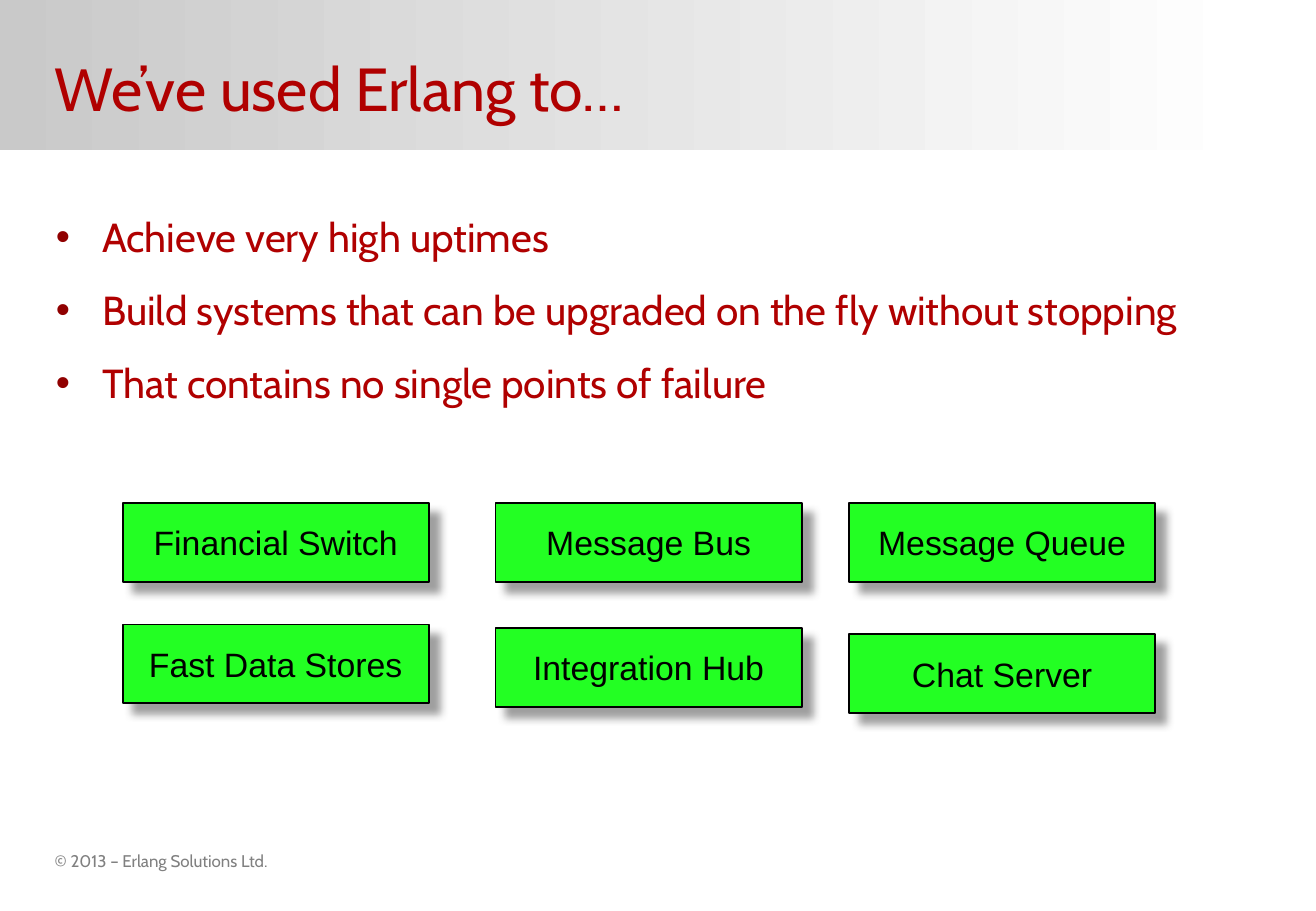
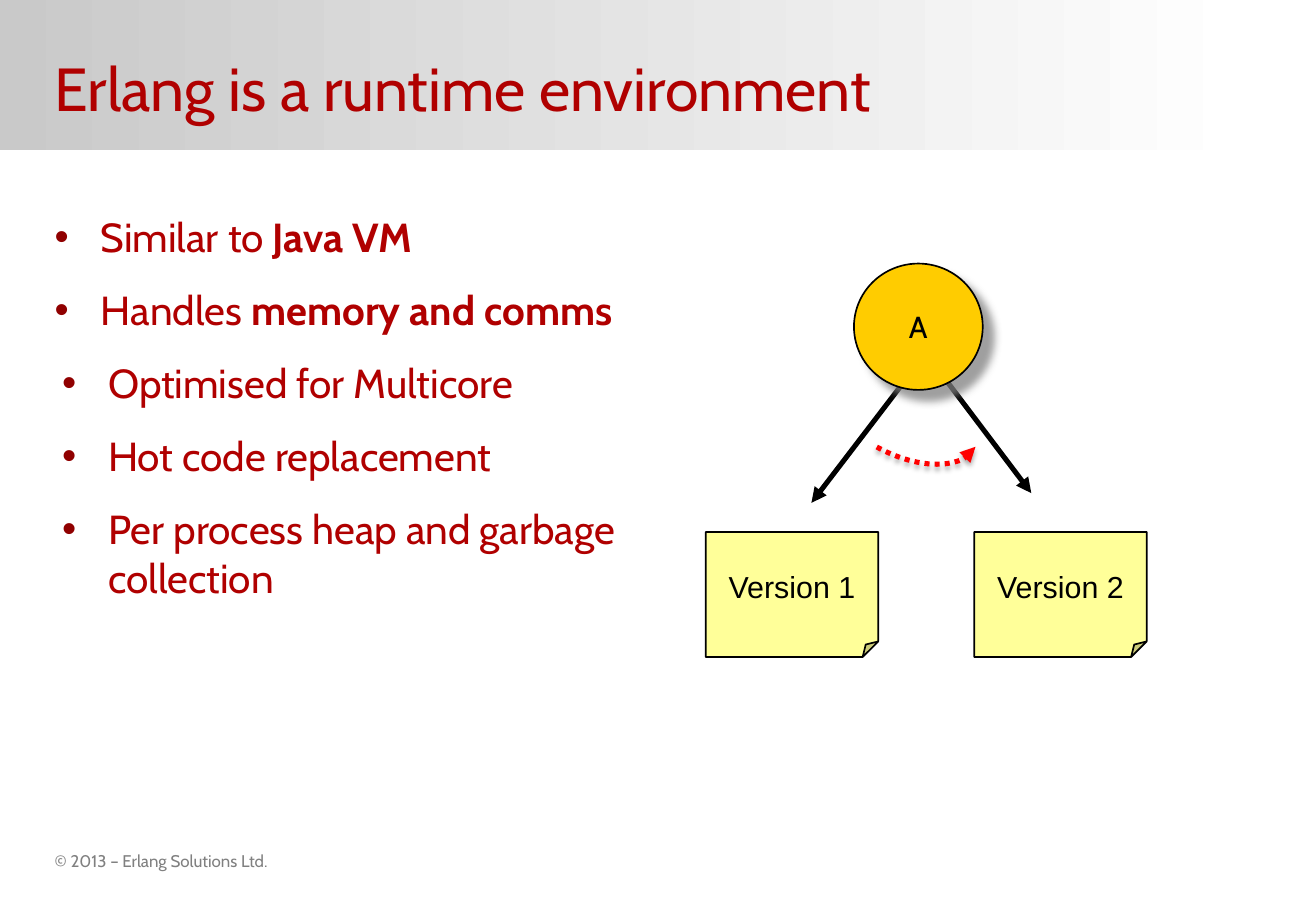
from pptx import Presentation
from pptx.dml.color import RGBColor
from pptx.enum.dml import MSO_LINE_DASH_STYLE as Dash
from pptx.enum.shapes import MSO_CONNECTOR as Link, MSO_SHAPE as Kind
from pptx.enum.text import MSO_ANCHOR as Anchor, PP_ALIGN as Align
from pptx.oxml.ns import qn
from pptx.util import Inches, Pt
from lxml.etree import SubElement as Sub

COLS, ROWS = 65, 45


def tint(code):
    return RGBColor.from_string(code)


class Deck:
    red, dot, grey, black = "B00000", "900000", "808080", "000000"
    face, plain = "Cabin", "Arial"
    drop = ("808080", 75, 5, 8.5, 45)

    def __init__(self):
        self.pres = Presentation()
        self.pres.slide_width = Inches(10.83)
        self.pres.slide_height = Inches(7.5)

    def grid(self, col, row):
        return (round(self.pres.slide_width * col / COLS),
                round(self.pres.slide_height * row / ROWS))

    def area(self, col, row, wide, high):
        return *self.grid(col, row), *self.grid(wide, high)

    def page(self, title):
        self.slide = self.pres.slides.add_slide(self.pres.slide_layouts[6])
        self.items = self.slide.shapes
        band = self.shape(Kind.RECTANGLE, (0, 0, 61.7, 7.4))
        band.fill.gradient()
        band.fill.gradient_angle = 0
        for stop, code in zip(band.fill.gradient_stops, ("C9C9C9", "FFFFFF")):
            stop.color.rgb = tint(code)
        self.text((2.7, 41.7, 11.2, 1.6), "© 2013 – Erlang Solutions Ltd.",
                  10, self.grey, wrap=False)
        self.text((2.7, 1.26, 59.5, 6.12), title, 36, self.red, Anchor.MIDDLE)

    def font(self, para, size, code, face):
        para.font.size, para.font.name = Pt(size), face
        para.font.color.rgb = tint(code)

    def frame(self, place, wrap=True):
        frame = self.items.add_textbox(*self.area(*place)).text_frame
        frame.word_wrap = wrap
        frame.margin_left = frame.margin_right = 0
        return frame

    def text(self, place, words, size, code, anchor=Anchor.TOP, wrap=True):
        frame = self.frame(place, wrap)
        frame.vertical_anchor = anchor
        frame.text = words
        self.font(frame.paragraphs[0], size, code, self.face)

    def bullets(self, place, lines):
        frame = self.frame(place)
        for spot, (words, left) in enumerate(lines):
            para = frame.add_paragraph() if spot else frame.paragraphs[0]
            para.space_before = Pt(14.4 if spot else 0)
            props = para._p.get_or_add_pPr()
            props.set("marL", str(Inches(left)))
            props.set("indent", str(-Inches(0.38)))
            Sub(Sub(props, qn("a:buClr")), qn("a:srgbClr"), val=self.dot)
            Sub(props, qn("a:buFont"), typeface=self.plain)
            Sub(props, qn("a:buChar"), char="•")
            self.font(para, 24, self.red, self.face)
            for part, piece in enumerate(words.split("|")):
                run = para.add_run()
                run.text = piece
                if part % 2:
                    run.font.bold = True

    def shape(self, kind, place):
        shape = self.items.add_shape(kind, *self.area(*place))
        shape.shadow.inherit = False
        shape.line.fill.background()
        return shape

    def box(self, kind, place, words, fill, size, face=plain, shade=None):
        shape = self.shape(kind, place)
        shape.fill.solid()
        shape.fill.fore_color.rgb = tint(fill)
        self.stroke(shape, self.black, 1)
        frame = shape.text_frame
        frame.word_wrap = False
        frame.vertical_anchor = Anchor.MIDDLE
        frame.text = words
        para = frame.paragraphs[0]
        para.alignment = Align.CENTER
        self.font(para, size, self.black, face)
        if shade:
            self.shade(shape, *shade)
        return shape

    def note(self, place, words):
        note = self.box(Kind.FOLDED_CORNER, place, words, "FFFF99", 18)
        geom = note.element.spPr.find(qn("a:prstGeom"))
        Sub(geom.get_or_add_avLst(), qn("a:gd"), name="adj", fmla="val 12500")

    def stroke(self, item, code, width):
        item.line.color.rgb = tint(code)
        item.line.width = Pt(width)

    def shade(self, shape, code, alpha, blur, dist, angle):
        glow = Sub(shape.element.spPr.find(qn("a:effectLst")), qn("a:outerShdw"),
                   blurRad=str(Pt(blur)), dist=str(Pt(dist)),
                   dir=str(angle * 60000), algn="ctr", rotWithShape="0")
        Sub(Sub(glow, qn("a:srgbClr"), val=code), qn("a:alpha"),
            val=str(alpha * 1000))

    def tip(self, item):
        Sub(item.element.spPr.find(qn("a:ln")), qn("a:tailEnd"), type="triangle")

    def arrow(self, start, end):
        line = self.items.add_connector(
            Link.STRAIGHT, *self.grid(*start), *self.grid(*end))
        self.stroke(line, self.black, 3)
        self.tip(line)
        Sub(line.element.spPr, qn("a:effectLst"))

    def swing(self, place, turn):
        arc = self.shape(Kind.ARC, place)
        arc.fill.background()
        arc.rotation = turn
        arc.element.spPr.find(qn("a:xfrm")).set("flipV", "1")
        self.stroke(arc, "FF0000", 3)
        arc.line.dash_style = Dash.ROUND_DOT
        self.tip(arc)
        self.shade(arc, self.black, 35, 3.1, 1.8, 90)


def uses(deck):
    deck.page("We’ve used Erlang to…")
    deck.bullets((2.76, 10.2, 59.5, 13.7), [
        ("Achieve very high uptimes", 0.38),
        ("Build systems that can be upgraded on the fly without stopping", 0.38),
        ("That contains no single points of failure", 0.38)])
    for col, low, names in (
            (6.06, 30.84, ("Financial Switch", "Fast Data Stores")),
            (24.48, 31.02, ("Message Bus", "Integration Hub")),
            (41.94, 31.32, ("Message Queue", "Chat Server"))):
        for row, name in zip((24.84, low), names):
            deck.box(Kind.RECTANGLE, (col, row, 15.12, 3.9), name,
                     "23FF23", 20, shade=deck.drop)


def runtime(deck):
    deck.page("Erlang is a runtime environment")
    deck.bullets((2.7, 10.2, 34.5, 19.4), [
        ("Similar to |Java VM", 0.38),
        ("Handles |memory and comms", 0.38),
        ("Optimised for Multicore", 0.44),
        ("Hot code replacement", 0.44),
        ("Per process heap and garbage collection", 0.44)])
    for name, col in (("Version 1", 34.86), ("Version 2", 48.12)):
        deck.note((col, 26.28, 8.52, 6.18), name)
    deck.arrow((44.76, 18.72), (40.08, 24.84))
    deck.arrow((46.68, 18.72), (50.94, 24.36))
    deck.swing((40.2, 17.64, 8.52, 4.74), 29)
    deck.box(Kind.OVAL, (42.18, 13.02, 6.36, 6.24), "A", "FFCC00", 18,
             deck.face, deck.drop)


def main():
    deck = Deck()
    uses(deck)
    runtime(deck)
    deck.pres.save("out.pptx")


if __name__ == "__main__":
    main()
